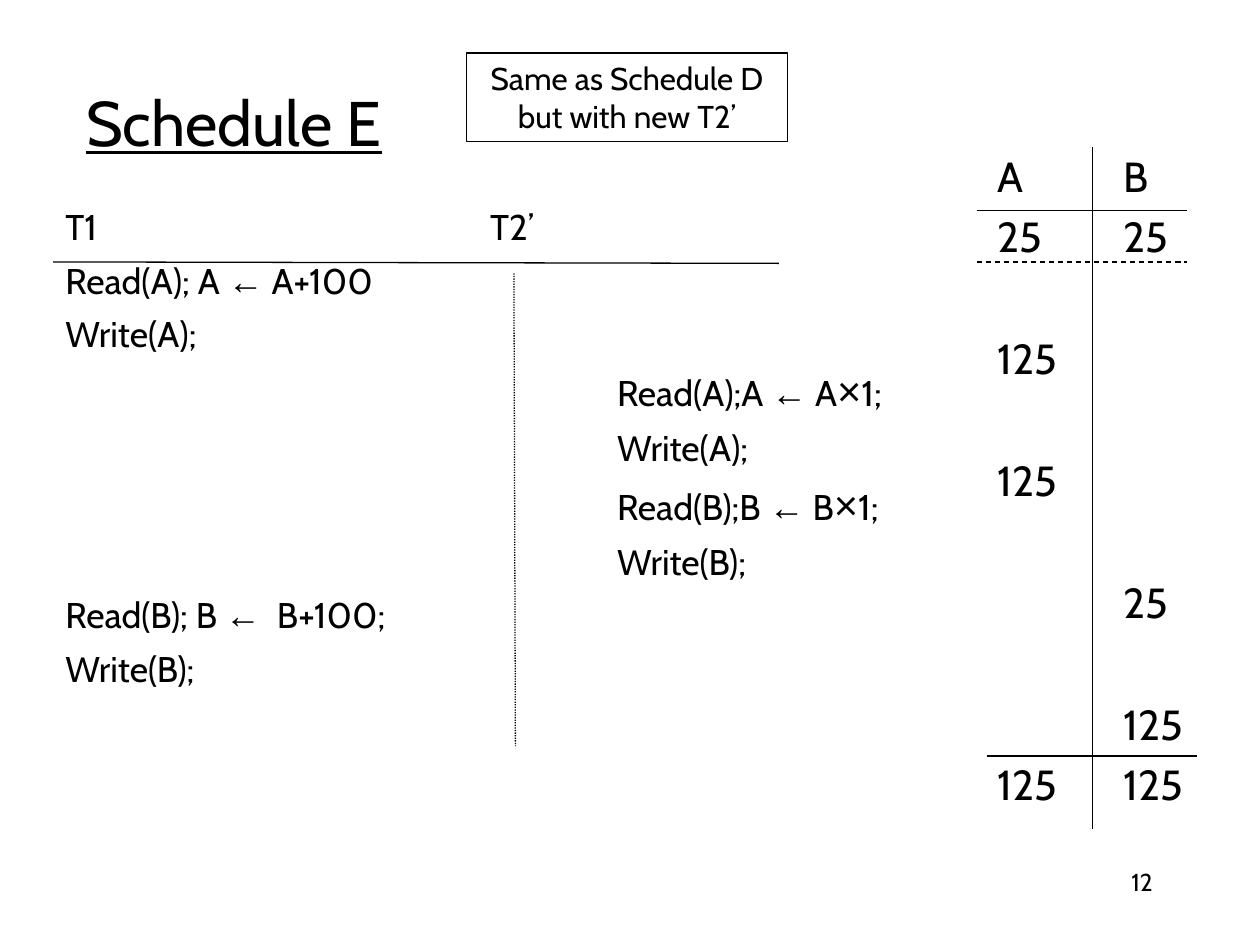
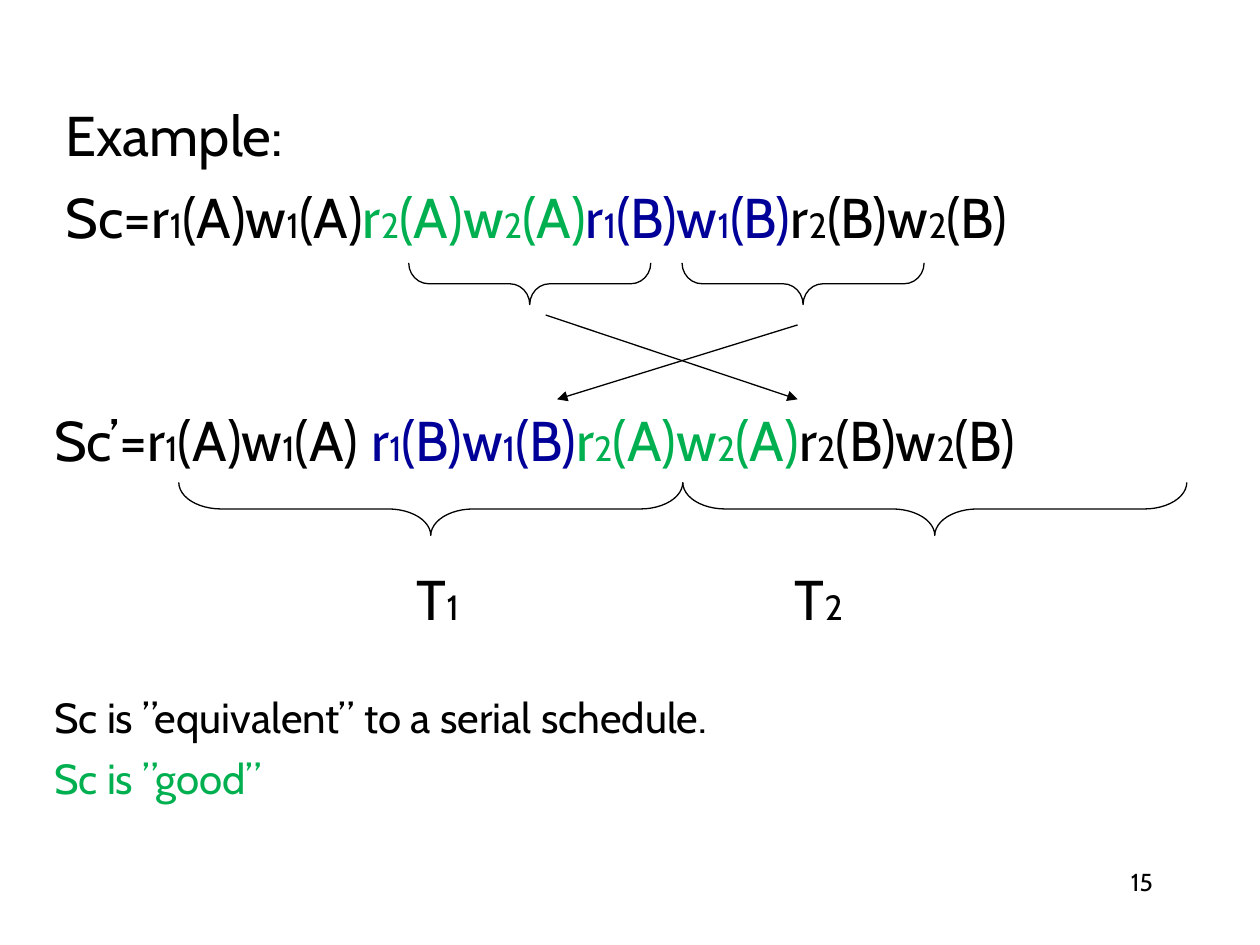
from dataclasses import dataclass
from itertools import groupby

from lxml.etree import SubElement
from pptx import Presentation
from pptx.dml.color import RGBColor
from pptx.enum.dml import MSO_LINE
from pptx.enum.shapes import MSO_CONNECTOR, MSO_SHAPE
from pptx.enum.text import MSO_ANCHOR, PP_ALIGN
from pptx.oxml.ns import qn
from pptx.util import Cm, Pt


@dataclass(frozen=True)
class Theme:
    font: str = "Cabin"
    symbol_font: str = "Arial"
    ink: RGBColor = RGBColor(0, 0, 0)
    blue: RGBColor = RGBColor(0, 0, 0x99)
    green: RGBColor = RGBColor(0, 0xB0, 0x50)
    title: float = 36
    formula: float = 32
    subscript: float = 20
    value: float = 24
    step: float = 20.4
    times: float = 23.8
    note: float = 18
    page: float = 14
    rule: float = 0.75


theme = Theme()
symbols = {"←": (theme.symbol_font, theme.step), "×": (theme.symbol_font, theme.times)}
subscripts = {digit: (theme.font, theme.subscript) for digit in "12"}


def add_text(shape, lines, size, before=0, align=PP_ALIGN.LEFT, styles={}, tab=None):
    frame = shape.text_frame
    frame.word_wrap = True
    for number, line in enumerate(lines):
        paragraph = frame.paragraphs[0] if number == 0 else frame.add_paragraph()
        paragraph.alignment = align
        paragraph.space_before = Pt(before)
        if tab:
            stops = SubElement(paragraph._p.get_or_add_pPr(), qn("a:tabLst"))
            SubElement(stops, qn("a:tab"), pos=str(Cm(tab)), algn="l")
        paragraph.font.name = theme.font
        paragraph.font.size = Pt(size)
        segments = [(line, theme.ink)] if isinstance(line, str) else line
        for text, color in segments:
            for style, letters in groupby(text, key=styles.get):
                run = paragraph.add_run()
                run.text = "".join(letters)
                run.font.color.rgb = color
                if style:
                    run.font.name, run.font.size = style[0], Pt(style[1])
    return frame


def add_line(slide, x1, y1, x2, y2, dash=None, arrow=False):
    line = slide.shapes.add_connector(MSO_CONNECTOR.STRAIGHT, Cm(x1), Cm(y1), Cm(x2), Cm(y2))
    line.line.color.rgb = theme.ink
    line.line.width = Pt(theme.rule)
    if dash:
        line.line.dash_style = dash
    if arrow:
        SubElement(line.line._get_or_add_ln(), qn("a:tailEnd"), type="triangle")
    SubElement(line._element.spPr, qn("a:effectLst"))


deck = Presentation()
deck.slide_width, deck.slide_height = Cm(25.4), Cm(19.05)
schedule = deck.slides.add_slide(deck.slide_layouts[5])
example = deck.slides.add_slide(deck.slide_layouts[6])

for slide, page in ((schedule, "12"), (example, "15")):
    page_number = slide.shapes.add_textbox(Cm(18.21), Cm(17.35), Cm(5.28), Cm(1.27))
    add_text(page_number, [page], theme.page, align=PP_ALIGN.RIGHT)

title = schedule.shapes.title
title.left, title.top, title.width, title.height = Cm(1.48), Cm(0.85), Cm(21.59), Cm(3.18)
heading = add_text(title, ["Schedule E"], theme.title)
heading.vertical_anchor = MSO_ANCHOR.MIDDLE
heading.paragraphs[0].font.underline = True

steps = [
    (0, "T1\tT2’"),
    (0, "Read(A); A ← A+100"),
    (0, "Write(A);"),
    (11.12, "Read(A);A ← A×1;"),
    (11.12, "Write(A);"),
    (11.12, "Read(B);B ← B×1;"),
    (11.12, "Write(B);"),
    (0, "Read(B); B ←  B+100;"),
    (0, "Write(B);"),
]
transactions = schedule.shapes.add_textbox(Cm(1.07), Cm(4.01), Cm(18.21), Cm(12.07))
step_frame = add_text(transactions, [text for _, text in steps], theme.step,
                      before=6, styles=symbols, tab=8.56)
for paragraph, (indent, _) in zip(step_frame.paragraphs, steps):
    paragraph._p.get_or_add_pPr().set("marL", str(Cm(indent)))
add_line(schedule, 1.07, 5.28, 15.7, 5.31)
add_line(schedule, 10.36, 5.51, 10.39, 15.04, MSO_LINE.ROUND_DOT)

states = ["A\tB", "25\t25", "125", "125", "\t25", "\t125", "125\t125"]
values = schedule.shapes.add_textbox(Cm(19.86), Cm(2.9), Cm(4.5), Cm(13.56))
value_frame = add_text(values, states, theme.value, before=6, tab=2.54)
for paragraph in value_frame.paragraphs[2:-1]:
    paragraph.space_before = Pt(40.8)
add_line(schedule, 19.69, 4.24, 23.93, 4.24)
add_line(schedule, 19.69, 5.28, 23.93, 5.28, MSO_LINE.DASH)
add_line(schedule, 22.02, 2.97, 22.02, 16.71)
add_line(schedule, 19.89, 15.24, 24.13, 15.24)

note = schedule.shapes.add_shape(MSO_SHAPE.RECTANGLE, Cm(9.4), Cm(1.07), Cm(6.48), Cm(1.78))
note.shadow.inherit = False
note.fill.background()
note.line.color.rgb = theme.ink
note.line.width = Pt(theme.rule)
add_text(note, ["Same as Schedule D", "but with new T2’"], theme.note, align=PP_ALIGN.CENTER)

swapped_reads = ("r2(A)w2(A)", theme.green)
swapped_writes = ("r1(B)w1(B)", theme.blue)
ending = ("r2(B)w2(B)", theme.ink)
serial = [("Sc’=r1(A)w1(A) ", theme.ink), swapped_writes, swapped_reads, ending]
interleaved = [("Sc=r1(A)w1(A)", theme.ink), swapped_reads, swapped_writes, ending]
conclusions = ["Sc is ”equivalent” to a serial schedule.", [("Sc is ”good”", theme.green)]]

for left, top, width, height, lines, size, before in (
    (1.07, 1.91, 23.5, 3.6, ["Example:", interleaved], theme.formula, 8),
    (0.84, 8.05, 23.5, 1.6, [serial], theme.formula, 8),
    (8.15, 11.25, 2.5, 1.6, ["T1"], theme.formula, 5),
    (15.77, 11.25, 2.5, 1.6, ["T2"], theme.formula, 5),
    (0.84, 13.82, 23.5, 2.8, conclusions, theme.value, 6),
):
    passage = example.shapes.add_textbox(Cm(left), Cm(top), Cm(width), Cm(height))
    add_text(passage, lines, size, before, styles=subscripts)

for left, top, depth, span, curve in (
    (10.26, 3.28, 0.84, 4.88, 0.48),
    (15.77, 3.28, 0.84, 4.88, 0.48),
    (8.15, 5.18, 1.07, 10.16, 0.8),
    (18.31, 5.18, 1.07, 10.16, 0.8),
):
    brace = example.shapes.add_shape(MSO_SHAPE.LEFT_BRACE, Cm(left), Cm(top), Cm(depth), Cm(span))
    brace.rotation = 270
    brace.adjustments[0] = curve
    brace.shadow.inherit = False
    brace.fill.background()
    brace.line.color.rgb = theme.ink
    brace.line.width = Pt(theme.rule)

add_line(example, 16.08, 6.55, 11.23, 8.05, arrow=True)
add_line(example, 11, 6.35, 16.08, 8.05, arrow=True)

deck.save("out.pptx")
